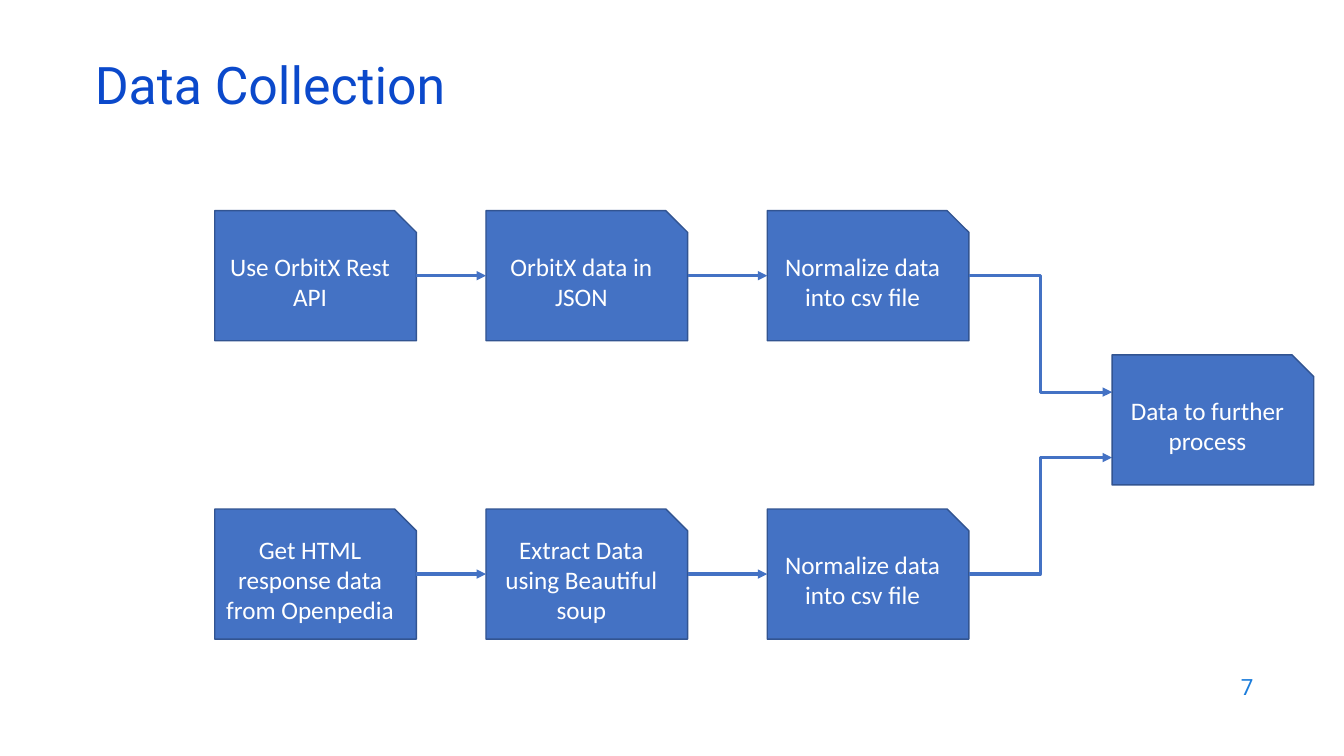
from dataclasses import dataclass

from lxml import etree
from pptx import Presentation
from pptx.dml.color import RGBColor
from pptx.enum.shapes import MSO_CONNECTOR, MSO_SHAPE
from pptx.enum.text import MSO_ANCHOR, PP_ALIGN
from pptx.oxml.ns import qn
from pptx.util import Inches, Pt

STRAIGHT, ELBOW = MSO_CONNECTOR.STRAIGHT, MSO_CONNECTOR.ELBOW
SNIPPED = MSO_SHAPE.SNIP_1_RECTANGLE
MIDDLE = MSO_ANCHOR.MIDDLE
LEFT, CENTER, RIGHT = PP_ALIGN.LEFT, PP_ALIGN.CENTER, PP_ALIGN.RIGHT
TITLE_ONLY = 5


@dataclass(frozen=True)
class Theme:
    title: RGBColor = RGBColor(0x0B, 0x49, 0xCB)
    number: RGBColor = RGBColor(0x1C, 0x7D, 0xDB)
    step: RGBColor = RGBColor(0x44, 0x72, 0xC4)
    outline: RGBColor = RGBColor(0x32, 0x54, 0x91)
    white: RGBColor = RGBColor(0xFF, 0xFF, 0xFF)
    heading_font: str = "Roboto"
    body_font: str = "Calibri"
    title_size: int = 37
    step_size: int = 18
    number_size: int = 16


THEME = Theme()

STEP_WIDTH, STEP_HEIGHT = 2, 1.29
COLUMNS = (2.13, 4.82, 7.61)
FLOWS = (
    (2.09, ("Use OrbitX Rest API", "OrbitX data in JSON", "Normalize data into csv file")),
    (5.05, ("Get HTML response data from Openpedia", "Extract Data using Beautiful soup",
            "Normalize data into csv file")),
)
RESULT_LEFT, RESULT_TOP = 11.03, 3.52
RESULT_ENTRIES = (3.89, 4.54)


def write(shape, text, font, size, color, align):
    frame = shape.text_frame
    frame.word_wrap = True
    frame.vertical_anchor = MIDDLE
    para = frame.paragraphs[0]
    para.alignment = align
    span = para.add_run()
    span.text = text
    span.font.name = font
    span.font.size = Pt(size)
    span.font.color.rgb = color
    return para


def add_title(page, text):
    title = page.shapes.title
    title.left, title.top = Inches(0.84), Inches(0.59)
    title.width, title.height = Inches(11.5), Inches(0.6)
    para = write(title, text, THEME.heading_font, THEME.title_size, THEME.title, LEFT)
    para.line_spacing = 0.8


def add_page_number(page, text):
    box = page.shapes.add_textbox(Inches(9.53), Inches(6.59), Inches(3), Inches(0.44))
    write(box, text, THEME.heading_font, THEME.number_size, THEME.number, RIGHT)


def add_step(page, left, top, text):
    step = page.shapes.add_shape(
        SNIPPED, Inches(left), Inches(top), Inches(STEP_WIDTH), Inches(STEP_HEIGHT))
    step.shadow.inherit = False
    step.fill.solid()
    step.fill.fore_color.rgb = THEME.step
    step.line.color.rgb = THEME.outline
    step.line.width = Pt(1)
    write(step, text, THEME.body_font, THEME.step_size, THEME.white, CENTER)


def add_arrow(page, kind, start, end):
    arrow = page.shapes.add_connector(kind, *map(Inches, start + end))
    arrow.line.color.rgb = THEME.step
    arrow.line.width = Pt(2.25)
    properties = arrow.element.spPr
    outline = properties.find(qn("a:ln"))
    etree.SubElement(outline, qn("a:tailEnd"), type="triangle")
    etree.SubElement(properties, qn("a:effectLst"))


def add_flow(page, top, texts, entry):
    """Draw one row of steps, joined by arrows and led into the result."""
    middle = top + STEP_HEIGHT / 2
    for left, text in zip(COLUMNS, texts):
        add_step(page, left, top, text)
    for left, following in zip(COLUMNS, COLUMNS[1:]):
        add_arrow(page, STRAIGHT, (left + STEP_WIDTH, middle), (following, middle))
    add_arrow(page, ELBOW, (COLUMNS[-1] + STEP_WIDTH, middle), (RESULT_LEFT, entry))


def main():
    deck = Presentation()
    deck.slide_width, deck.slide_height = Inches(13.33), Inches(7.5)
    page = deck.slides.add_slide(deck.slide_layouts[TITLE_ONLY])
    add_title(page, "Data Collection")
    for (top, texts), entry in zip(FLOWS, RESULT_ENTRIES):
        add_flow(page, top, texts, entry)
    add_step(page, RESULT_LEFT, RESULT_TOP, "Data to further process")
    add_page_number(page, "7")
    deck.save("out.pptx")


if __name__ == "__main__":
    main()
